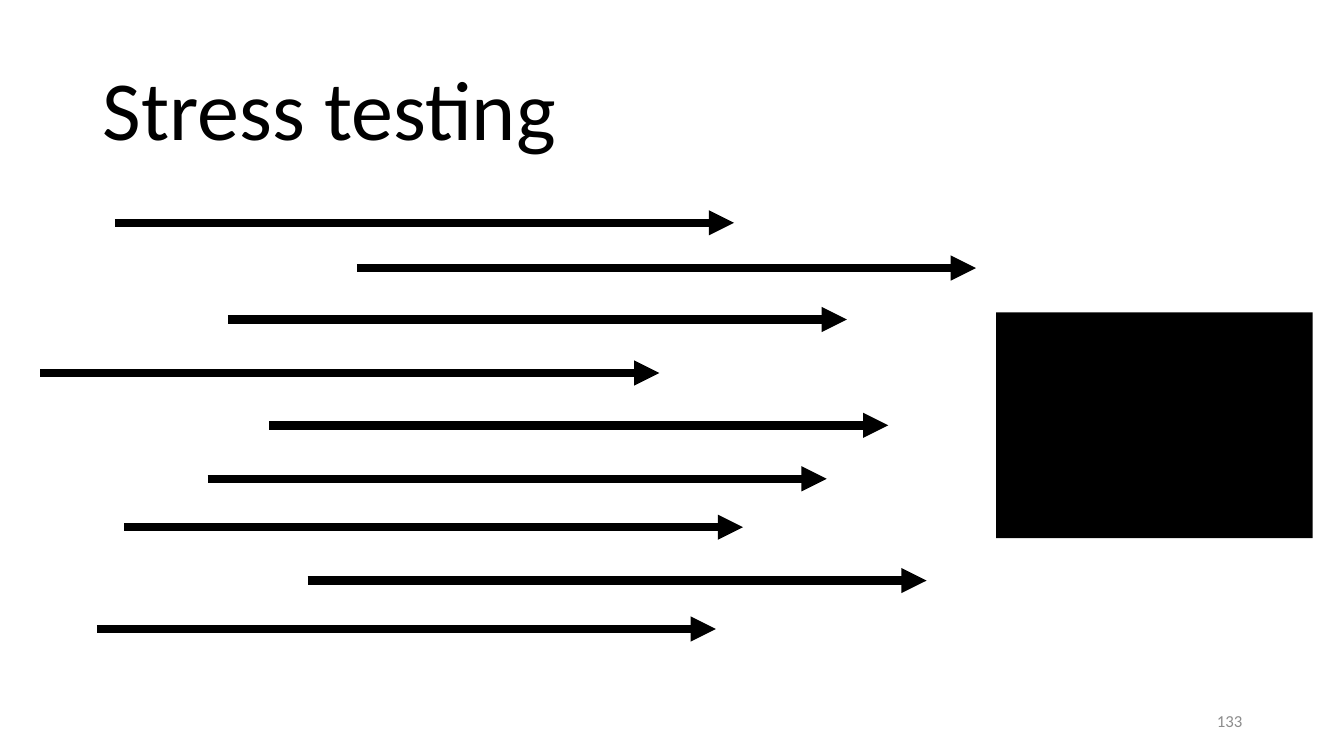
from lxml import etree
from pptx import Presentation
from pptx.dml.color import RGBColor
from pptx.enum.shapes import MSO_CONNECTOR, MSO_SHAPE
from pptx.enum.text import MSO_ANCHOR, PP_ALIGN
from pptx.oxml.ns import qn
from pptx.util import Inches, Pt

STRAIGHT = MSO_CONNECTOR.STRAIGHT
RECTANGLE = MSO_SHAPE.RECTANGLE
MIDDLE = MSO_ANCHOR.MIDDLE
LEFT, RIGHT = PP_ALIGN.LEFT, PP_ALIGN.RIGHT

COLORS = {"ink": "000000", "paper": "FFFFFF", "number": "8C8C8C"}
FONT = "Calibri"
ARROW_LENGTH = 6.14
# Start of each arrow (x, y) within the load region, top to bottom
ARROW_STARTS = [
    (0.74, 0), (3.14, 0.45), (1.86, 0.96), (0, 1.49), (2.27, 2.01),
    (1.66, 2.54), (0.83, 3.02), (2.65, 3.55), (0.56, 4.03),
]


def color(name):
    return RGBColor.from_string(COLORS[name])


def write_text(shape, text, size, ink="ink", align=LEFT, spacing=1.0):
    frame = shape.text_frame
    frame.word_wrap = True
    frame.vertical_anchor = MIDDLE
    para = frame.paragraphs[0]
    para.alignment = align
    para.line_spacing = spacing
    span = para.add_run()
    span.text = text
    span.font.name = FONT
    span.font.size = Pt(size)
    span.font.color.rgb = color(ink)


def add_title(page, left, top, width, height):
    title = page.shapes.title
    title.left, title.top = Inches(left), Inches(top)
    title.width, title.height = Inches(width), Inches(height)
    write_text(title, "Stress testing", size=60, spacing=0.9)


def add_page_number(page, left, top, width, height):
    box = page.shapes.add_textbox(Inches(left), Inches(top), Inches(width), Inches(height))
    write_text(box, "133", size=12, ink="number", align=RIGHT)


def add_system(page, left, top, width, height):
    system = page.shapes.add_shape(
        RECTANGLE, Inches(left), Inches(top), Inches(width), Inches(height))
    system.shadow.inherit = False
    system.fill.solid()
    system.fill.fore_color.rgb = color("ink")
    system.line.fill.background()


def add_arrow(page, left, top, length):
    arrow = page.shapes.add_connector(
        STRAIGHT, Inches(left), Inches(top), Inches(left + length), Inches(top))
    arrow.line.color.rgb = color("ink")
    arrow.line.width = Pt(6)
    # Arrowhead, and no shadow
    etree.SubElement(arrow.line._get_or_add_ln(), qn("a:tailEnd"), type="triangle")
    etree.SubElement(arrow._element.spPr, qn("a:effectLst"))


def add_load(page, left, top):
    for x, y in ARROW_STARTS:
        add_arrow(page, left + x, top + y, ARROW_LENGTH)


def main():
    deck = Presentation()
    deck.slide_width, deck.slide_height = Inches(13.33), Inches(7.5)
    page = deck.slides.add_slide(deck.slide_layouts[5])
    page.background.fill.solid()
    page.background.fill.fore_color.rgb = color("paper")
    add_title(page, 0.92, 0.4, 11.5, 1.45)
    add_page_number(page, 9.42, 6.95, 3, 0.4)
    add_system(page, 9.88, 3.1, 3.14, 2.24)
    add_load(page, 0.4, 2.21)
    deck.save("out.pptx")


if __name__ == "__main__":
    main()
